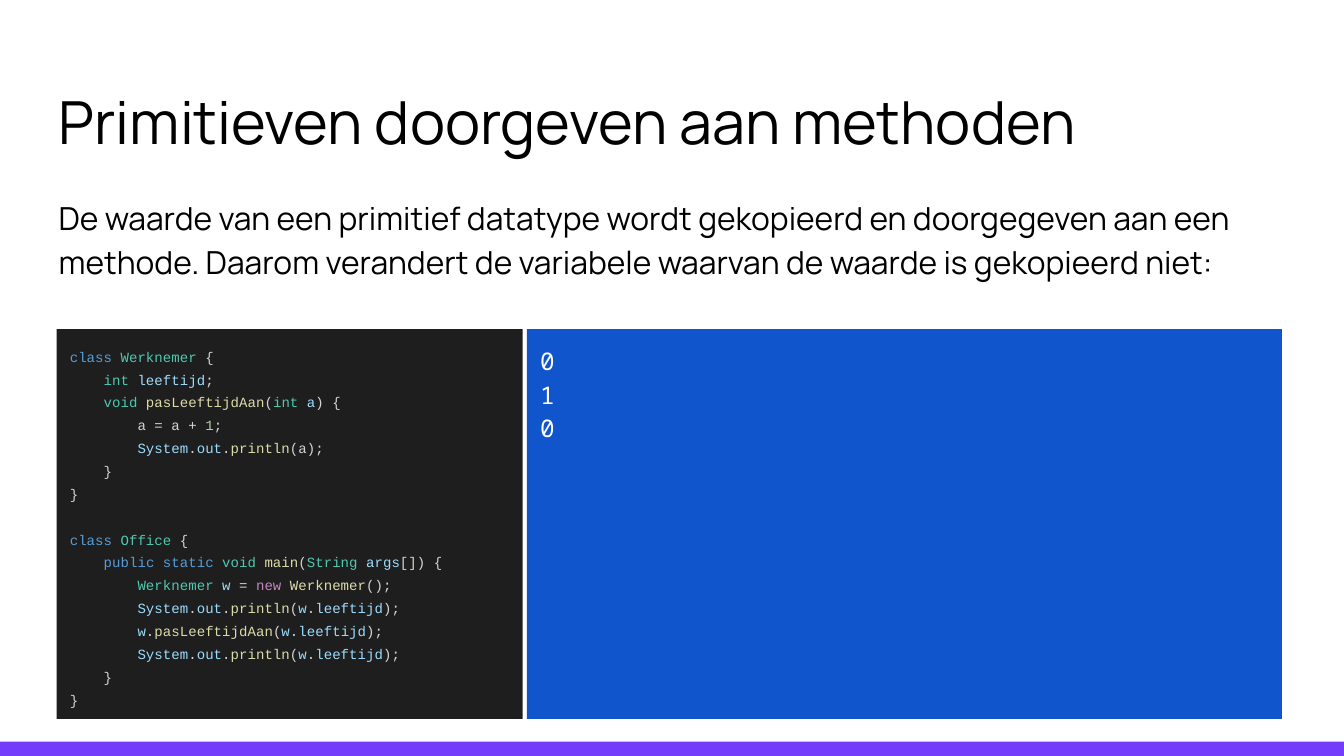
"""Build a slide on passing primitive values to methods, with code and its output."""
from dataclasses import dataclass, field

from pptx import Presentation
from pptx.dml.color import RGBColor
from pptx.enum.shapes import MSO_SHAPE
from pptx.enum.text import MSO_ANCHOR, MSO_AUTO_SIZE, PP_ALIGN
from pptx.util import Cm, Pt

RECTANGLE = MSO_SHAPE.RECTANGLE
TOP = MSO_ANCHOR.TOP
BOTTOM = MSO_ANCHOR.BOTTOM
LEFT = PP_ALIGN.LEFT
NO_AUTOFIT = MSO_AUTO_SIZE.NONE


@dataclass(frozen=True)
class Theme:
    heading_font: str = "Manrope"
    code_font: str = "Courier New"
    output_font: str = "Noto Sans Mono"
    title_size: float = 31.8
    body_size: float = 17
    code_size: float = 7.5
    output_size: float = 13
    ink: str = "000000"
    white: str = "FFFFFF"
    accent: str = "743DFB"
    editor: str = "1E1E1E"
    console: str = "1155CC"
    code: str = "D4D4D4"
    syntax: dict = field(default_factory=lambda: {
        "k": "569CD6",
        "t": "4EC9B0",
        "v": "9CDCFE",
        "f": "DCDCAA",
        "n": "B5CEA8",
        "c": "C586C0",
    })


theme = Theme()

PRINT_AGE = "        §vSystem§.§vout§.§fprintln§(§vw§.§vleeftijd§);"
CODE = [
    "§kclass§ §tWerknemer§ {",
    "    §tint§ §vleeftijd§;",
    "    §tvoid§ §fpasLeeftijdAan§(§tint§ §va§) {",
    "        a = a + §n1§;",
    "        §vSystem§.§vout§.§fprintln§(a);",
    "    }",
    "}",
    "",
    "§kclass§ §tOffice§ {",
    "    §kpublic§ §kstatic§ §tvoid§ §fmain§(§tString§ §vargs§[]) {",
    "        §tWerknemer§ §vw§ = §cnew§ §fWerknemer§();",
    PRINT_AGE,
    "        §vw§.§fpasLeeftijdAan§(§vw§.§vleeftijd§);",
    PRINT_AGE,
    "    }",
    "}",
]


def write(paragraph, text, *, size, font, color, line_spacing=1.0, before=0, after=0):
    """Fill a paragraph; §-marked tokens take a syntax colour, newlines break lines."""
    paragraph.alignment = LEFT
    paragraph.line_spacing = line_spacing
    paragraph.space_before = Pt(before)
    paragraph.space_after = Pt(after)
    for row, line in enumerate(text.split("\n")):
        if row:
            paragraph.add_line_break()
        for index, token in enumerate(line.split("§")):
            if not token:
                continue
            marked = index % 2
            run = paragraph.add_run()
            run.text = token[1:] if marked else token
            run.font.name = font
            run.font.size = Pt(size)
            run.font.color.rgb = RGBColor.from_string(
                theme.syntax[token[0]] if marked else color)


def prepare(shape, fill=None, anchor=TOP):
    """Set the fill and the text frame of a shape and return the frame."""
    if fill:
        shape.shadow.inherit = False
        shape.fill.solid()
        shape.fill.fore_color.rgb = RGBColor.from_string(fill)
        shape.line.fill.background()
    frame = shape.text_frame
    frame.word_wrap = True
    frame.auto_size = NO_AUTOFIT
    frame.vertical_anchor = anchor
    frame.margin_left = frame.margin_right = Cm(0.25)
    frame.margin_top = frame.margin_bottom = Cm(0.25)
    return frame


presentation = Presentation()
presentation.slide_width = Cm(25.4)
presentation.slide_height = Cm(14.29)
slide = presentation.slides.add_slide(presentation.slide_layouts[5])
shapes = slide.shapes

bar = shapes.add_shape(RECTANGLE, 0, Cm(14.02), presentation.slide_width, Cm(0.27))
prepare(bar, fill=theme.accent)

title = shapes.title
title.left, title.top, title.width, title.height = Cm(0.86), Cm(0.89), Cm(23.67), Cm(2.31)
write(prepare(title, anchor=BOTTOM).paragraphs[0], "Primitieven doorgeven aan methoden",
      size=theme.title_size, font=theme.heading_font, color=theme.ink)

body = shapes.add_textbox(Cm(0.86), Cm(3.4), Cm(23.67), Cm(10.46))
write(prepare(body).paragraphs[0],
      "De waarde van een primitief datatype wordt gekopieerd en doorgegeven aan een "
      "methode. Daarom verandert de variabele waarvan de waarde is gekopieerd niet:",
      size=theme.body_size, font=theme.heading_font, color=theme.ink,
      line_spacing=1.15, after=12)

panel_top, panel_height = Cm(6.22), Cm(7.37)

editor = shapes.add_shape(RECTANGLE, Cm(1.07), panel_top, Cm(8.81), panel_height)
editor_frame = prepare(editor, fill=theme.editor)
gap = 0
for number, line in enumerate(CODE):
    if not line:
        gap = 12.2
        continue
    paragraph = editor_frame.add_paragraph() if number else editor_frame.paragraphs[0]
    write(paragraph, line, size=theme.code_size, font=theme.code_font,
          color=theme.code, line_spacing=1.36, before=gap)
    gap = 0

console = shapes.add_shape(RECTANGLE, Cm(9.96), panel_top, Cm(14.27), panel_height)
write(prepare(console, fill=theme.console).paragraphs[0], "0\n1\n0",
      size=theme.output_size, font=theme.output_font, color=theme.white,
      line_spacing=1.15, after=12)

presentation.save("out.pptx")
